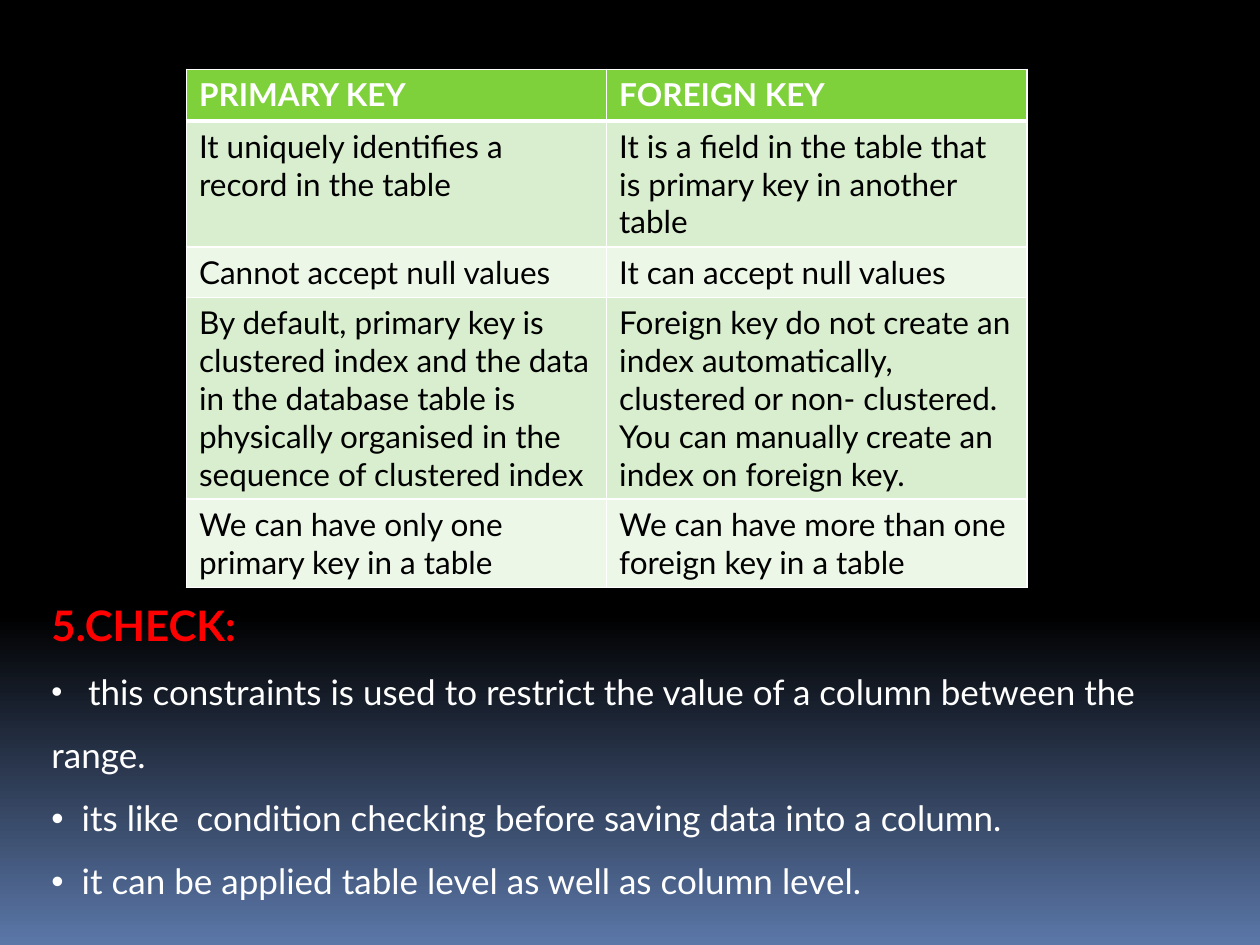
from lxml import etree
from pptx import Presentation, util as u
from pptx.dml.color import RGBColor
from pptx.oxml.ns import qn

FONT = "Lato"
COLORS = {"black": "000000", "steel": "5B77A8", "white": "FFFFFF", "red": "FF0000",
          "header": "7FD13B", "odd": "D8EECE", "even": "ECF7E8"}
ROWS = [
    (0.41, "PRIMARY KEY", "FOREIGN KEY"),
    (1.0, "It uniquely identifies a record in the table",
     "It is a field in the table that is primary key in another table"),
    (0.4, "Cannot accept null values", "It can accept null values"),
    (1.6, "By default, primary key is clustered index and the data in the database table "
     "is physically organised in the sequence of clustered index",
     "Foreign key do not create an index automatically, clustered or non- clustered.\n"
     "You can manually create an index on foreign key."),
    (0.7, "We can have only one primary key in a table",
     "We can have more than one foreign key in a table"),
]
HEADING = "5.CHECK:"
# text, gap from bullet to text in inches, bullet size in percent
BULLETS = [
    ("this constraints is used to restrict the value of a column between the range.", 0.29, 90),
    ("its like  condition checking before saving data into a column.", 0.24, 100),
    ("it can be applied table level as well as column level.", 0.24, 100),
]


def rgb(name):
    """Return a named colour."""
    return RGBColor.from_string(COLORS[name])


def style(para, size, color, bold=False):
    """Format every run of a paragraph."""
    for span in para.runs:
        span.font.name, span.font.size, span.font.bold = FONT, u.Pt(size), bold
        span.font.color.rgb = rgb(color)


def add_child(parent, tag, **attributes):
    """Append a DrawingML element."""
    return etree.SubElement(parent, qn("a:" + tag), attributes)


def border(cell, side, points):
    """Draw one white cell edge."""
    line = add_child(cell._tc.get_or_add_tcPr(), "ln" + side, w=str(u.Pt(points)))
    add_child(add_child(line, "solidFill"), "srgbClr", val=COLORS["white"])


def paint_background(page):
    """Fill the page with black fading to steel blue at the bottom."""
    fill = page.background.fill
    fill.gradient()
    fill.gradient_angle = 270
    stops = fill._fill._gradFill.find(qn("a:gsLst"))
    for stop in list(stops):
        stops.remove(stop)
    for share, name in ((0, "black"), (65, "black"), (100, "steel")):
        add_child(add_child(stops, "gs", pos=str(share * 1000)), "srgbClr", val=COLORS[name])


def add_key_table(page):
    """Add the comparison of primary and foreign keys."""
    height = sum(row[0] for row in ROWS)
    table = page.shapes.add_table(len(ROWS), 2, u.Inches(1.48), u.Inches(0.55),
                                  u.Inches(6.67), u.Inches(height)).table
    for r, (row_height, *texts) in enumerate(ROWS):
        table.rows[r].height = u.Inches(row_height)
        for c, words in enumerate(texts):
            cell = table.cell(r, c)
            cell.text_frame.text = words
            for para in cell.text_frame.paragraphs:
                style(para, 18, "black" if r else "white", r == 0)
            for side in "LRTB":
                under_header = (r, side) in ((0, "B"), (1, "T"))
                border(cell, side, 3 if under_header else 1)
            cell.fill.solid()
            cell.fill.fore_color.rgb = rgb("header" if r == 0 else "odd" if r % 2 else "even")


def add_check_notes(page):
    """Add the heading and its bullets below the table."""
    box = page.shapes.add_textbox(u.Inches(0.31), u.Inches(4.71), u.Inches(9.55), u.Inches(2.6))
    frame = box.text_frame
    frame.word_wrap = True
    frame.text = HEADING
    style(frame.paragraphs[0], 24, "red", True)
    for words, gap, percent in BULLETS:
        para = frame.add_paragraph()
        para.text = "\t" + words
        para.line_spacing = 1.5
        style(para, 20, "white")
        props = para._p.get_or_add_pPr()
        props.set("marL", "0")
        props.set("indent", "0")
        add_child(props, "buSzPct", val=str(percent * 1000))
        add_child(props, "buFont", typeface="Arial")
        add_child(props, "buChar", char="•")
        add_child(add_child(props, "tabLst"), "tab", pos=str(u.Inches(gap)), algn="l")


deck = Presentation()
deck.slide_width, deck.slide_height = u.Inches(10), u.Inches(7.5)
page = deck.slides.add_slide(deck.slide_layouts[6])
paint_background(page)
add_check_notes(page)
add_key_table(page)
deck.save("out.pptx")
